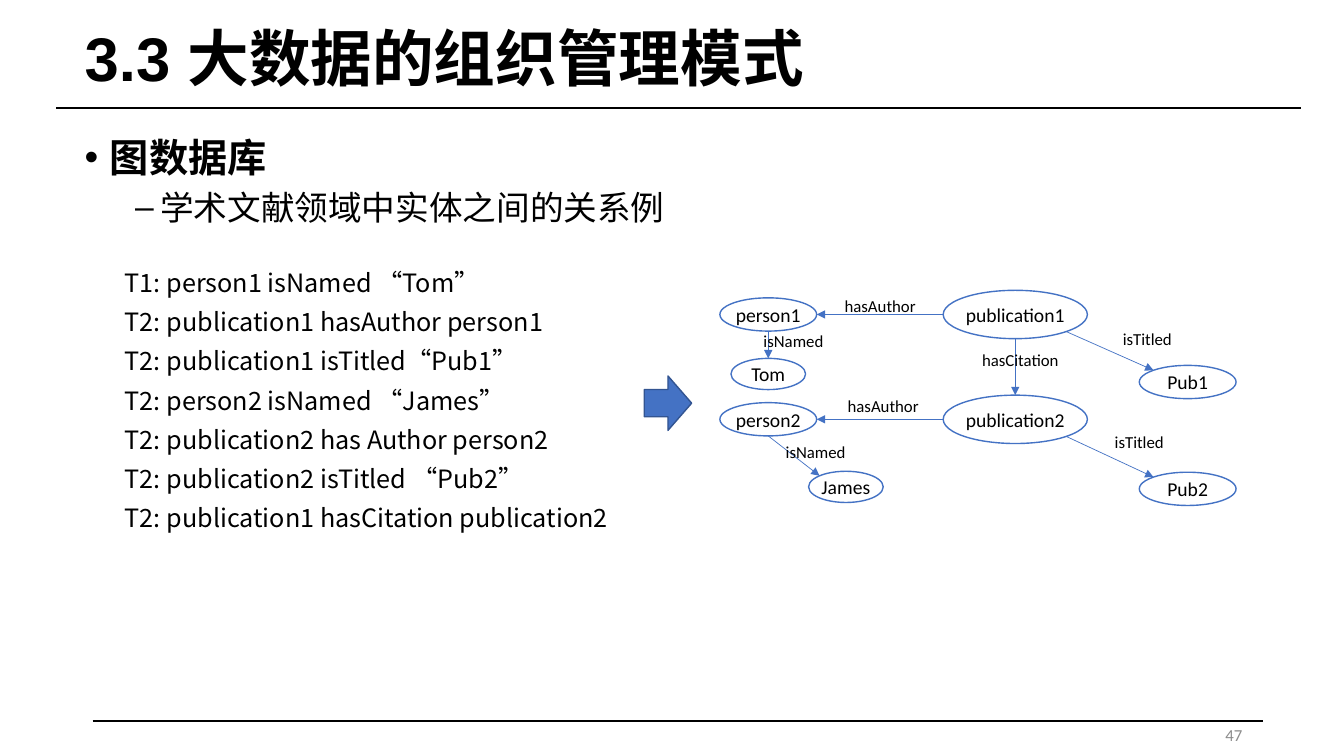
from math import cos, radians, sin

from lxml.etree import SubElement
from pptx import Presentation
from pptx.dml.color import RGBColor
from pptx.enum.shapes import MSO_CONNECTOR, MSO_SHAPE
from pptx.enum.text import MSO_ANCHOR, MSO_AUTO_SIZE, PP_ALIGN
from pptx.oxml.ns import qn
from pptx.util import Inches, Pt

LATIN, CJK = "Calibri", "Noto Sans CJK SC"
BLACK, WHITE, BLUE = "000000", "FFFFFF", "4472C4"

# The graph's grid: centres of its columns and rows, in inches
PERSON, PUBLICATION, TITLE = 7.62, 10.07, 11.78
FIRST, SECOND = 3.12, 4.16
LARGE, MEDIUM, SMALL = (1.43, 0.48), (0.96, 0.33), (0.74, 0.31)
LABEL_WIDTH, LABEL_HEIGHT = 1.2, 0.3

NODES = {
    "publication1": (PUBLICATION, FIRST, LARGE),
    "publication2": (PUBLICATION, SECOND, LARGE),
    "Pub1": (TITLE, 3.79, MEDIUM),
    "Pub2": (TITLE, 4.85, MEDIUM),
    "person1": (PERSON, FIRST, MEDIUM),
    "person2": (PERSON, SECOND, MEDIUM),
    "Tom": (PERSON, 3.71, SMALL),
    "James": (8.39, 4.83, SMALL),
}

# Angles run clockwise from the right-hand end of an ellipse
RIGHT, LOWER_RIGHT, BOTTOM, LEFT, UPPER_LEFT, TOP = 0, 45, 90, 180, 225, 270

# Source, its angle, target, its angle, label, label centre
EDGES = [
    ("person1", BOTTOM, "Tom", TOP, "isNamed", (7.87, 3.38)),
    ("person2", BOTTOM, "James", UPPER_LEFT, "isNamed", (8.09, 4.48)),
    ("publication1", LEFT, "person1", RIGHT, "hasAuthor", (8.73, 3.03)),
    ("publication2", LEFT, "person2", RIGHT, "hasAuthor", (8.76, 4.03)),
    ("publication1", BOTTOM, "publication2", TOP, "hasCitation", (10.12, 3.57)),
    ("publication1", LOWER_RIGHT, "Pub1", UPPER_LEFT, "isTitled", (11.38, 3.36)),
    ("publication2", LOWER_RIGHT, "Pub2", UPPER_LEFT, "isTitled", (11.3, 4.38)),
]

TRIPLES = [
    "T1: person1 isNamed “Tom”",
    "T2: publication1 hasAuthor person1",
    "T2: publication1 isTitled“Pub1”",
    "T2: person2 isNamed “James”",
    "T2: publication2 has Author person2",
    "T2: publication2 isTitled “Pub2”",
    "T2: publication1 hasCitation publication2",
]


def color(hex_code):
    return RGBColor.from_string(hex_code)


def place(shape, left, top, width, height):
    shape.left, shape.top = Inches(left), Inches(top)
    shape.width, shape.height = Inches(width), Inches(height)


def style(paragraph, size, font=LATIN, hex_code=BLACK, bold=False, align=PP_ALIGN.LEFT):
    """Format a paragraph, with the CJK font for its East Asian characters."""
    paragraph.alignment = align
    paragraph.font.size = Pt(size)
    paragraph.font.name = font
    paragraph.font.bold = bold
    paragraph.font.color.rgb = color(hex_code)
    for span in paragraph.runs:
        SubElement(span._r.get_or_add_rPr(), qn("a:ea"), typeface=CJK)


def add_line(page, start, end, hex_code, width, arrow=False):
    points = [Inches(value) for value in (*start, *end)]
    line = page.shapes.add_connector(MSO_CONNECTOR.STRAIGHT, *points)
    line.line.color.rgb = color(hex_code)
    line.line.width = Pt(width)
    if arrow:
        SubElement(line.line._get_or_add_ln(), qn("a:tailEnd"), type="triangle")
    SubElement(line._element.spPr, qn("a:effectLst"))


def add_figure(page, kind, bounds, fill, outline):
    figure = page.shapes.add_shape(kind, *[Inches(value) for value in bounds])
    figure.shadow.inherit = False
    figure.fill.solid()
    figure.fill.fore_color.rgb = color(fill)
    figure.line.color.rgb = color(outline)
    figure.line.width = Pt(1)
    return figure


def add_text(page, bounds, lines, size, spacing=1.0, wrap=False, **looks):
    box = page.shapes.add_textbox(*[Inches(value) for value in bounds])
    frame = box.text_frame
    frame.word_wrap = wrap
    frame.text = "\n".join(lines)
    for para in frame.paragraphs:
        para.line_spacing = spacing
        style(para, size, **looks)
    return frame


def add_node(page, name):
    x, y, (width, height) = NODES[name]
    bounds = (x - width / 2, y - height / 2, width, height)
    frame = add_figure(page, MSO_SHAPE.OVAL, bounds, WHITE, BLUE).text_frame
    frame.margin_left = frame.margin_right = frame.margin_top = frame.margin_bottom = 0
    frame.vertical_anchor = MSO_ANCHOR.MIDDLE
    frame.word_wrap = False
    frame.text = name
    style(frame.paragraphs[0], 14, align=PP_ALIGN.CENTER)


def rim(name, angle):
    """Return the point on a node's outline at an angle."""
    x, y, (width, height) = NODES[name]
    return x + width / 2 * cos(radians(angle)), y + height / 2 * sin(radians(angle))


def add_graph(page):
    for name in NODES:
        add_node(page, name)
    for source, leaving, target, arriving, label, (x, y) in EDGES:
        add_line(page, rim(source, leaving), rim(target, arriving), BLUE, 0.5, arrow=True)
        bounds = (x - LABEL_WIDTH / 2, y - LABEL_HEIGHT / 2, LABEL_WIDTH, LABEL_HEIGHT)
        add_text(page, bounds, [label], 12, align=PP_ALIGN.CENTER)


def fill_title(page, text):
    title = page.shapes.title
    place(title, 0.74, 0.15, 11.95, 0.92)
    frame = title.text_frame
    frame.auto_size = MSO_AUTO_SIZE.NONE
    frame.vertical_anchor = MSO_ANCHOR.MIDDLE
    frame.text = text
    frame.paragraphs[0].line_spacing = 0.9
    style(frame.paragraphs[0], 44, font="Arial", bold=True)


def fill_body(page, items):
    """Fill the list from (text, size, bold, bullet, indent, space before)."""
    body = page.placeholders[1]
    place(body, 0.74, 1.27, 11.95, 5.49)
    frame = body.text_frame
    frame.auto_size = MSO_AUTO_SIZE.NONE
    frame.text = "\n".join(item[0] for item in items)
    for level, (para, item) in enumerate(zip(frame.paragraphs, items)):
        _, size, bold, bullet, indent, before = item
        para.level = level
        para.space_before = Pt(before)
        props = para._p.get_or_add_pPr()
        props.set("marL", str(Inches(indent)))
        props.set("indent", str(Inches(-0.25)))
        SubElement(props, qn("a:buFont"), typeface="Arial")
        SubElement(props, qn("a:buChar"), char=bullet)
        style(para, size, bold=bold)


def main():
    deck = Presentation()
    deck.slide_width, deck.slide_height = Inches(13.33), Inches(7.5)
    page = deck.slides.add_slide(deck.slide_layouts[1])
    add_line(page, (0.56, 1.07), (12.9, 1.07), BLACK, 1.75)
    add_line(page, (0.92, 7.15), (12.53, 7.15), BLACK, 1.25)
    fill_title(page, "3.3 大数据的组织管理模式")
    fill_body(page, [
        ("图数据库", 28, True, "•", 0.25, 0),
        ("学术文献领域中实体之间的关系例", 24, False, "–", 0.75, 5),
    ])
    add_graph(page)
    add_text(page, (1.14, 2.51, 5.29, 2.82), TRIPLES, 18, spacing=1.3, font=CJK)
    add_figure(page, MSO_SHAPE.RIGHT_ARROW, (6.39, 3.73, 0.47, 0.54), BLUE, "325491")
    number = add_text(page, (9.42, 7.09, 3, 0.4), ["47"], 12, wrap=True,
                      hex_code="8C8C8C", align=PP_ALIGN.RIGHT)
    number.vertical_anchor = MSO_ANCHOR.MIDDLE
    deck.save("out.pptx")


if __name__ == "__main__":
    main()
